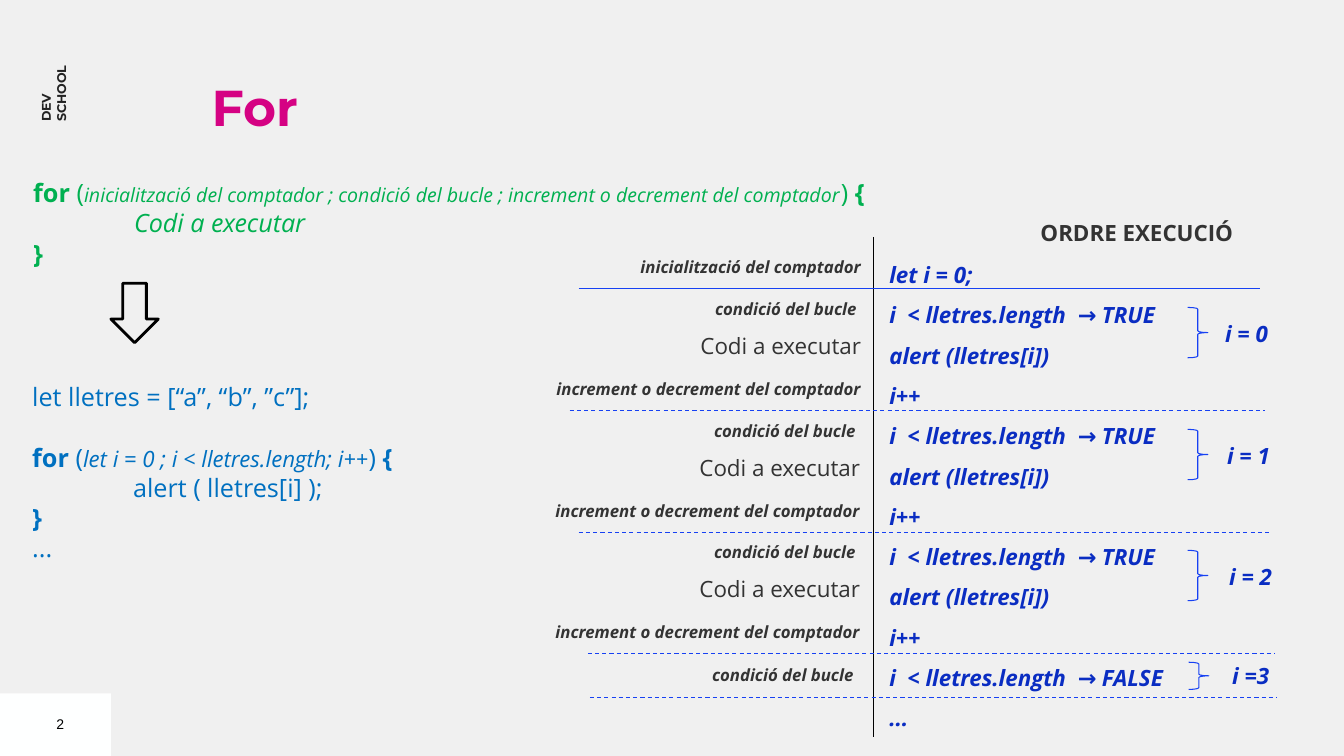
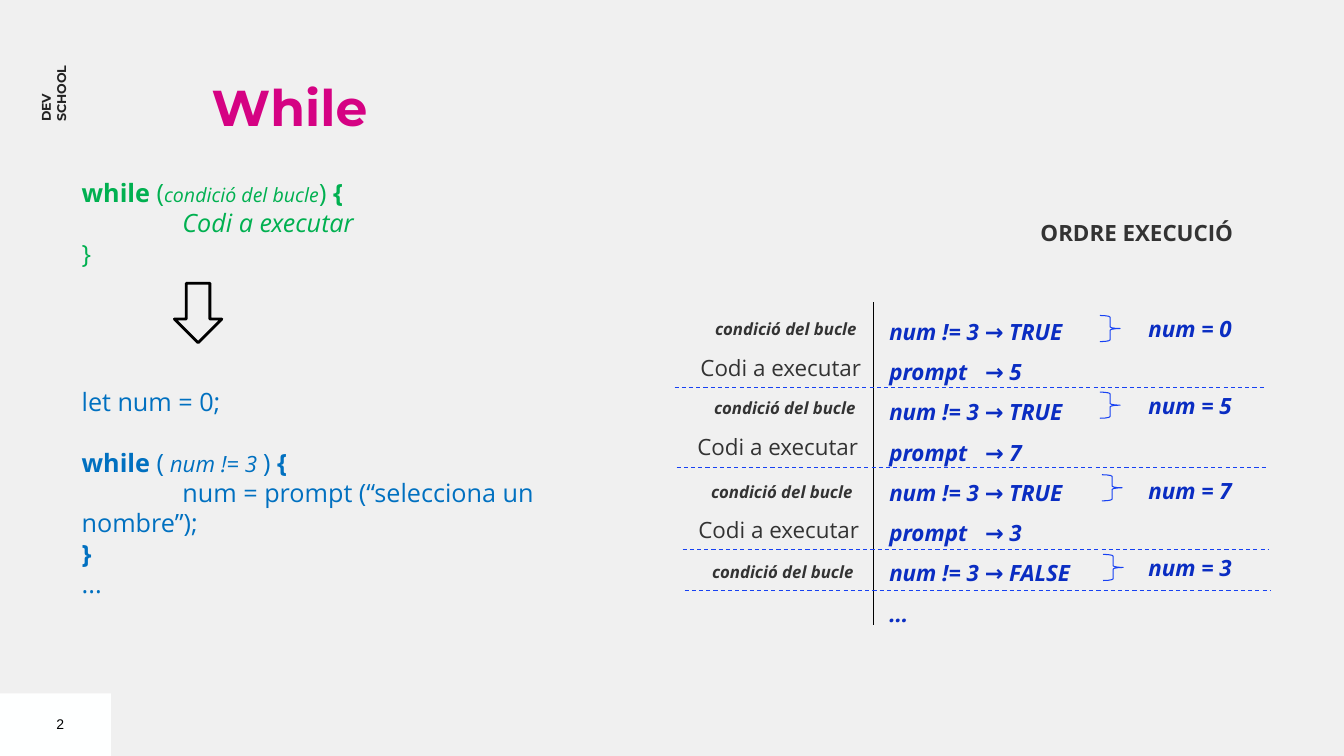
from dataclasses import dataclass

from lxml.etree import SubElement
from pptx import Presentation
from pptx.dml.color import RGBColor
from pptx.enum.dml import MSO_LINE
from pptx.enum.shapes import MSO_CONNECTOR, MSO_SHAPE
from pptx.enum.text import PP_ALIGN
from pptx.oxml.ns import qn
from pptx.util import Inches, Pt


@dataclass(frozen=True)
class Theme:
    """Colours, fonts and type sizes of the deck."""
    back: str = "F0F0F0"
    white: str = "FEFFFF"
    black: str = "000000"
    dark: str = "222222"
    grey: str = "333333"
    pink: str = "D50283"
    green: str = "00B050"
    blue: str = "0070C0"
    navy: str = "0A2DC2"
    line: str = "1741F3"
    head: str = "Montserrat"
    body: str = "Open Sans"
    plain: str = "Arial"
    title: float = 36
    code: float = 18
    step: float = 16
    small: float = 14
    note: float = 12
    page: float = 10
    brand: float = 9
    thin: float = 0.75
    thick: float = 2


class Deck:
    """Holds the theme and the current slide, and draws each kind of element."""

    def __init__(self, theme):
        self.theme = theme
        self.show = Presentation()
        self.show.slide_width, self.show.slide_height = Inches(13.33), Inches(7.5)
        fill = self.show.slide_master.background.fill
        fill.solid()
        fill.fore_color.rgb = RGBColor.from_string(theme.back)
        self.slide = None

    def start(self, title):
        """Add a slide with its title, side label and page box."""
        t = self.theme
        self.slide = self.show.slides.add_slide(self.show.slide_layouts[6])
        self.shape(MSO_SHAPE.RECTANGLE, 0, 6.88, 1.1, 0.62, fill=t.white)
        box = self.text(2.1, 0.87, 7.12, 0.55, title, t.title, t.pink, "b", t.head)
        box.text_frame.paragraphs[0].line_spacing = 0.8
        side = self.text(-0.01, 0.67, 0.93, 0.25, "DEV SCHOOL", t.brand, t.dark,
                         "b", t.head, pad=(0.05, 0.05))
        side.rotation = 270
        side.text_frame.word_wrap = False
        self.text(0.46, 7.05, 0.29, 0.26, "2", t.page, t.black, "", t.plain,
                  pad=(0.1, 0.05))
        self.text(10.24, 2.17, 1.99, 0.27, "ORDRE EXECUCIÓ", t.step, t.grey, "b",
                  right=True)

    def frame(self, x, y, w, h, pad=(0, 0)):
        """Add an empty text box that wraps."""
        box = self.slide.shapes.add_textbox(Inches(x), Inches(y), Inches(w), Inches(h))
        tf = box.text_frame
        tf.word_wrap = True
        tf.margin_left = tf.margin_right = Inches(pad[0])
        tf.margin_top = tf.margin_bottom = Inches(pad[1])
        return box

    def style(self, run, size, tint, marks="", font=None):
        """Format one run; marks may hold b and i."""
        run.font.name = font or self.theme.body
        run.font.size = Pt(size)
        run.font.bold = "b" in marks
        run.font.italic = "i" in marks
        run.font.color.rgb = RGBColor.from_string(tint)

    def text(self, x, y, w, h, words, size, tint, marks="", font=None,
             right=False, pad=(0, 0)):
        """Add text in a single style."""
        box = self.frame(x, y, w, h, pad)
        box.text_frame.text = words
        for para in box.text_frame.paragraphs:
            para.alignment = PP_ALIGN.RIGHT if right else PP_ALIGN.LEFT
            for run in para.runs:
                self.style(run, size, tint, marks, font)
        return box

    def code(self, x, y, w, h, tint, lines, deep, gap=None):
        """Add code lines of mixed runs; deep is the indented line."""
        tf = self.frame(x, y, w, h).text_frame
        for n, line in enumerate(lines):
            para = tf.add_paragraph() if n else tf.paragraphs[0]
            if n == deep:
                para._p.get_or_add_pPr().set("indent", str(Inches(1)))
            if n == gap:
                para.space_before = Pt(22)
            for words, marks, size in line:
                run = para.add_run()
                run.text = words
                self.style(run, size, tint, marks)

    def steps(self, y, h, lines):
        """Add the column of executed steps."""
        box = self.text(8.82, y, 3.33, h, "\n".join(lines), self.theme.step,
                        self.theme.navy, "bi")
        for para in box.text_frame.paragraphs:
            para.line_spacing = 1.5
            tabs = SubElement(para._p.get_or_add_pPr(), qn("a:tabLst"))
            SubElement(tabs, qn("a:tab"), pos=str(Inches(0.95)), algn="l")

    def note(self, y, words, edge=8.53):
        """Add a bold label left of the axis."""
        self.text(edge - 3.85, y, 3.85, 0.2, words, self.theme.note,
                  self.theme.grey, "bi", right=True)

    def task(self, y, edge=8.53):
        """Add the label of the loop body."""
        self.text(edge - 1.99, y, 1.99, 0.27, "Codi a executar", self.theme.step,
                  self.theme.grey, right=True)

    def shape(self, kind, x, y, w, h, fill=None, line=None, width=0.75):
        """Add a preset shape."""
        item = self.slide.shapes.add_shape(kind, Inches(x), Inches(y), Inches(w), Inches(h))
        item.shadow.inherit = False
        if fill:
            item.fill.solid()
            item.fill.fore_color.rgb = RGBColor.from_string(fill)
        else:
            item.fill.background()
        if line:
            item.line.color.rgb = RGBColor.from_string(line)
            item.line.width = Pt(width)
        else:
            item.line.fill.background()

    def arrow(self, x):
        """Add the arrow from syntax to example."""
        self.shape(MSO_SHAPE.DOWN_ARROW, x, 2.81, 0.47, 0.59,
                   line=self.theme.black, width=self.theme.thick)

    def brace(self, x, y, h):
        """Add a brace around one turn."""
        self.shape(MSO_SHAPE.RIGHT_BRACE, x, y, 0.2, h,
                   line=self.theme.line, width=self.theme.thin)

    def tag(self, x, y, w, words):
        """Add the counter value of one turn."""
        self.text(x, y, w, 0.27, words, self.theme.step, self.theme.navy, "bi")

    def rule(self, x1, y1, x2, y2, tint=None, dash=True):
        """Add a straight line."""
        item = self.slide.shapes.add_connector(
            MSO_CONNECTOR.STRAIGHT, Inches(x1), Inches(y1), Inches(x2), Inches(y2))
        item.line.color.rgb = RGBColor.from_string(tint or self.theme.line)
        item.line.width = Pt(self.theme.thin)
        if dash:
            item.line.dash_style = MSO_LINE.DASH
        SubElement(item._element.spPr, qn("a:effectLst"))

    def axis(self, top, end):
        """Add the upright line between labels and steps."""
        self.rule(8.66, top, 8.66, end, self.theme.black, dash=False)


def draw_for(deck):
    """Draw the slide on the for loop."""
    t = deck.theme
    big = t.code
    test, bump = "condició del bucle ", "increment o decrement del comptador"
    deck.start("For")
    deck.code(0.33, 1.76, 9.13, 0.91, t.green, [
        [("for", "b", big), (" (", "", big),
         ("inicialització del comptador ; condició del bucle ; " + bump, "i", t.small),
         (") ", "", big), ("{", "b", big)],
        [("Codi a executar", "i", big)],
        [("}", "b", big)]], deep=1)
    deck.arrow(1.1)
    deck.code(0.32, 3.78, 4.57, 2.12, t.blue, [
        [("let lletres = [“a”, “b”, ”c”];", "", big)],
        [("for", "b", big), (" (", "", big),
         ("let i = 0 ; i < lletres.length; i++", "i", t.step),
         (") ", "", big), ("{", "b", big)],
        [("alert ( lletres[i] );", "", big)],
        [("}", "b", big)],
        [("...", "", big)]], deep=2, gap=1)

    turn = ["i  < lletres.length  → TRUE", "alert (lletres[i])", "i++"]
    deck.steps(2.46, 4.8, ["let i = 0;"] + turn * 3
               + ["i  < lletres.length  → FALSE", "..."])
    deck.axis(2.35, 7.31)
    deck.note(2.55, "inicialització del comptador", 8.54)
    deck.rule(5.74, 2.86, 12.5, 2.86, dash=False)
    for n, top in enumerate((2.96, 4.17, 5.37)):
        edge = 8.53 if n else 8.54
        deck.note(top, test, edge)
        deck.task(top + 0.34, edge)
        deck.note(top + 0.8, bump, edge)
        deck.brace(11.78, top + 0.09, 0.5)
        deck.tag(12.15 + 0.02 * n, top + 0.22, 0.55, f"i = {n}")
        deck.rule(5.65 + 0.09 * n, top + 1.11, 12.55 + 0.05 * n, top + 1.11)
    deck.note(6.59, test, 8.51)
    deck.brace(11.79, 6.57, 0.27)
    deck.tag(12.22, 6.57, 0.55, "i =3")
    deck.rule(5.85, 6.92, 12.67, 6.92)


def draw_while(deck):
    """Draw the slide on the while loop."""
    t = deck.theme
    big = t.code
    deck.start("While")
    deck.code(0.81, 1.76, 5.88, 0.91, t.green, [
        [("while", "b", big), (" (", "", big), ("condició del bucle", "i", t.small),
         (") ", "", big), ("{", "b", big)],
        [("Codi a executar", "i", big)],
        [("}", "", big)]], deep=1)
    deck.arrow(1.73)
    deck.code(0.81, 3.83, 4.88, 2.42, t.blue, [
        [("let num = 0;", "", big)],
        [("while ", "b", big), ("(", "", big), (" ", "bi", t.step),
         ("num != 3 ", "i", t.step), (") ", "", big), ("{", "b", big)],
        [("num = prompt (“selecciona un nombre”);", "", big)],
        [("}", "b", big)],
        [("...", "", big)]], deep=2, gap=1)

    lines = []
    for value in (5, 7, 3):
        lines += ["num != 3 → TRUE", f"prompt\t→ {value}"]
    deck.steps(3.02, 3.18, lines + ["num != 3 → FALSE", "..."])
    deck.axis(3, 6.2)
    turns = [
        (0, 3.16, 8.54, 10.91, 3.13, 3.13),
        (5, 3.95, 8.53, 10.91, 3.89, 3.89),
        (7, 4.78, 8.5, 10.93, 4.71, 4.73),
        (3, 5.57, 8.51, 10.94, 5.5, 5.5),
    ]
    for value, top, edge, left, curl, mark in turns:
        deck.note(top, "condició del bucle ", edge)
        deck.brace(left, curl, 0.26)
        deck.tag(11.39, mark, 0.98, f"num = {value}")
    for top, edge in ((3.51, 8.54), (4.3, 8.51), (5.12, 8.52)):
        deck.task(top, edge)
    for left, y, right in ((6.69, 3.84, 12.55), (6.71, 4.64, 12.57),
                           (6.77, 5.45, 12.58), (6.79, 5.86, 12.6)):
        deck.rule(left, y, right, y)


def main():
    """Build and save the deck."""
    deck = Deck(Theme())
    draw_for(deck)
    draw_while(deck)
    deck.show.save("out.pptx")


if __name__ == "__main__":
    main()
